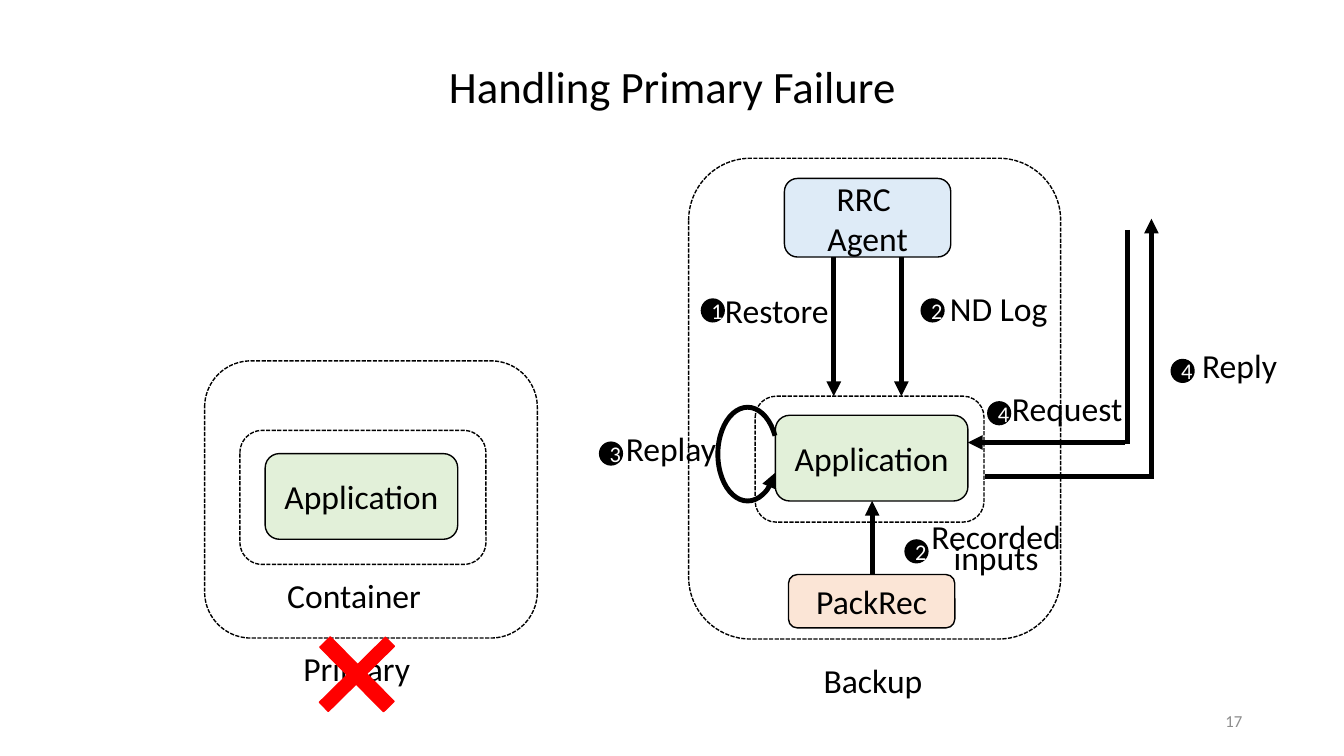
import dataclasses
import typing

import lxml.etree
import pptx
import pptx.dml.color
import pptx.enum.dml
import pptx.enum.shapes
import pptx.enum.text
import pptx.oxml.ns
import pptx.util

Inches = pptx.util.Inches
Pt = pptx.util.Pt
RGBColor = pptx.dml.color.RGBColor
MSO_SHAPE = pptx.enum.shapes.MSO_SHAPE
PP_ALIGN = pptx.enum.text.PP_ALIGN
MSO_ANCHOR = pptx.enum.text.MSO_ANCHOR
qn = pptx.oxml.ns.qn

FONT = "Calibri"
BLACK = RGBColor(0x00, 0x00, 0x00)
WHITE = RGBColor(0xFF, 0xFF, 0xFF)
GRAY = RGBColor(0x8C, 0x8C, 0x8C)
RED = RGBColor(0xFF, 0x00, 0x00)
GREEN = RGBColor(0xE2, 0xF0, 0xD9)
ORANGE = RGBColor(0xFB, 0xE5, 0xD6)
BLUE = RGBColor(0xDE, 0xEB, 0xF7)
BADGE_SIZE = 0.24
FLOW_WIDTH = 3.5


@dataclasses.dataclass
class Box:
    """Rounded box: filled with a caption, or a dashed frame without either."""
    left: float
    top: float
    width: float
    height: float
    fill: typing.Optional[RGBColor] = None
    text: str = ""


@dataclasses.dataclass
class Label:
    text: str
    left: float
    top: float
    width: float
    height: float = 0.5
    align: PP_ALIGN = PP_ALIGN.LEFT
    spacing: typing.Optional[float] = None


@dataclasses.dataclass
class Badge:
    number: int
    left: float
    top: float


@dataclasses.dataclass
class Flow:
    x1: float
    y1: float
    x2: float
    y2: float
    arrow: bool = True


FRAMES = [
    Box(6.83, 1.57, 3.69, 4.77),  # backup host
    Box(7.49, 3.93, 2.27, 1.25),  # backup container
    Box(2.03, 3.58, 3.3, 2.75),   # primary host
    Box(2.38, 4.27, 2.44, 1.33),  # primary container
]
COMPONENTS = [
    Box(2.63, 4.5, 1.91, 0.85, GREEN, "Application"),
    Box(7.69, 4.12, 1.91, 0.85, GREEN, "Application"),
    Box(7.82, 5.7, 1.65, 0.53, ORANGE, "PackRec"),
    Box(7.78, 1.77, 1.65, 0.78, BLUE, "RRC \nAgent"),
]
LABELS = [
    Label("Primary", 2.91, 6.38, 1.35),
    Label("Backup", 8.07, 6.5, 1.35),
    Label("Container", 2.75, 5.65, 1.58),
    Label("Restore", 7.08, 2.83, 1.25, align=PP_ALIGN.CENTER),
    Label("Recorded inputs", 8.98, 5.26, 1.8, 0.56, PP_ALIGN.CENTER, 15),
    Label("ND Log", 9.03, 3, 1.75, 0.35, PP_ALIGN.CENTER, 15),
    Label("Replay", 5.82, 4.39, 1.67, 0.35, PP_ALIGN.CENTER, 15),
    Label("Reply", 11.46, 3.56, 1.67, 0.35, PP_ALIGN.CENTER, 15),
    Label("Request", 9.75, 3.99, 1.67, 0.35, PP_ALIGN.CENTER, 15),
]
BADGES = [
    Badge(1, 6.95, 2.96), Badge(2, 9.13, 2.96), Badge(2, 8.97, 5.35),
    Badge(3, 5.94, 4.38), Badge(4, 11.61, 3.56), Badge(4, 9.79, 3.98),
]
FLOWS = [
    Flow(8.27, 2.55, 8.27, 3.93),           # restore
    Flow(8.94, 2.55, 8.94, 3.93),           # ND log
    Flow(8.65, 5.69, 8.65, 4.97),           # recorded inputs
    Flow(11.18, 2.28, 11.18, 4.4, False),   # request, down
    Flow(11.16, 4.39, 9.6, 4.39),           # request, into the application
    Flow(9.77, 4.73, 11.42, 4.73, False),   # reply, out of the container
    Flow(11.42, 4.75, 11.42, 2.17),         # reply, up
]


def write(tf, text: str, size: float, color: RGBColor = BLACK,
          align: PP_ALIGN = PP_ALIGN.CENTER, spacing=None) -> None:
    p = tf.paragraphs[0]
    p.text = text
    p.alignment = align
    if spacing is not None:
        p.line_spacing = spacing
    for r in p.runs:
        r.font.name = FONT
        r.font.size = Pt(size)
        r.font.color.rgb = color


def add_shape(s, kind: MSO_SHAPE, left: float, top: float, width: float, height: float,
              fill: typing.Optional[RGBColor] = None,
              line: typing.Optional[RGBColor] = BLACK, weight: float = 1):
    sp = s.shapes.add_shape(kind, Inches(left), Inches(top), Inches(width), Inches(height))
    sp.shadow.inherit = False
    if fill is None:
        sp.fill.background()
    else:
        sp.fill.solid()
        sp.fill.fore_color.rgb = fill
    if line is None:
        sp.line.fill.background()
    else:
        sp.line.color.rgb = line
        sp.line.width = Pt(weight)
    return sp


def add_arrowhead(sp, end: str) -> None:
    ln = sp.element.spPr.find(qn("a:ln"))
    lxml.etree.SubElement(ln, qn(end), type="triangle")


def add_box(s, box: Box) -> None:
    sp = add_shape(s, MSO_SHAPE.ROUNDED_RECTANGLE, box.left, box.top,
                   box.width, box.height, box.fill)
    if box.text:
        sp.text_frame.vertical_anchor = MSO_ANCHOR.MIDDLE
        write(sp.text_frame, box.text, 24)
    else:
        sp.line.dash_style = pptx.enum.dml.MSO_LINE.SQUARE_DOT
        sp.element.spPr.find(qn("a:ln")).find(qn("a:prstDash")).set("val", "sysDash")


def add_label(s, label: Label, size: float = 24, color: RGBColor = BLACK):
    sp = s.shapes.add_textbox(Inches(label.left), Inches(label.top),
                              Inches(label.width), Inches(label.height))
    sp.text_frame.word_wrap = True
    spacing = Pt(label.spacing) if label.spacing else None
    write(sp.text_frame, label.text, size, color, label.align, spacing)
    return sp


def add_badge(s, badge: Badge) -> None:
    sp = add_shape(s, MSO_SHAPE.OVAL, badge.left, badge.top, BADGE_SIZE, BADGE_SIZE, BLACK, None)
    sp.text_frame.vertical_anchor = MSO_ANCHOR.MIDDLE
    write(sp.text_frame, str(badge.number), 16, WHITE)


def add_flow(s, flow: Flow) -> None:
    line = s.shapes.add_connector(pptx.enum.shapes.MSO_CONNECTOR.STRAIGHT, Inches(flow.x1),
                                  Inches(flow.y1), Inches(flow.x2), Inches(flow.y2))
    line.line.color.rgb = BLACK
    line.line.width = Pt(FLOW_WIDTH)
    if flow.arrow:
        add_arrowhead(line, "a:tailEnd")
    lxml.etree.SubElement(line.element.spPr, qn("a:effectLst"))


def main() -> None:
    prs = pptx.Presentation()
    prs.slide_width, prs.slide_height = Inches(13.33), Inches(7.5)
    s = prs.slides.add_slide(prs.slide_layouts[5])

    # Title and page number
    title = s.shapes.title
    title.left, title.top = Inches(0.92), Inches(0.16)
    title.width, title.height = Inches(11.5), Inches(1.45)
    title.text_frame.vertical_anchor = MSO_ANCHOR.MIDDLE
    write(title.text_frame, "Handling Primary Failure", 32, spacing=0.9)
    page = add_label(s, Label("17", 9.42, 6.95, 3, 0.4, PP_ALIGN.RIGHT), 12, GRAY)
    page.text_frame.vertical_anchor = MSO_ANCHOR.MIDDLE

    # Hosts, containers and components
    for box in FRAMES + COMPONENTS:
        add_box(s, box)

    # Captions, then the cross over the failed primary
    for label in LABELS:
        add_label(s, label)
    cross = add_shape(s, MSO_SHAPE.CROSS, 3.09, 6.23, 0.9, 0.92, RED, RED)
    cross.adjustments[0] = 0.43
    cross.rotation = 45.4

    # Flows and the replay loop
    for flow in FLOWS:
        add_flow(s, flow)
    loop = add_shape(s, MSO_SHAPE.ARC, 7.12, 4.04, 0.59, 0.93, weight=FLOW_WIDTH)
    loop.adjustments[0], loop.adjustments[1] = 128.93, 87.68
    loop.rotation = 180
    add_arrowhead(loop, "a:headEnd")

    # Step numbers
    for badge in BADGES:
        add_badge(s, badge)

    prs.save("out.pptx")


if __name__ == "__main__":
    main()
